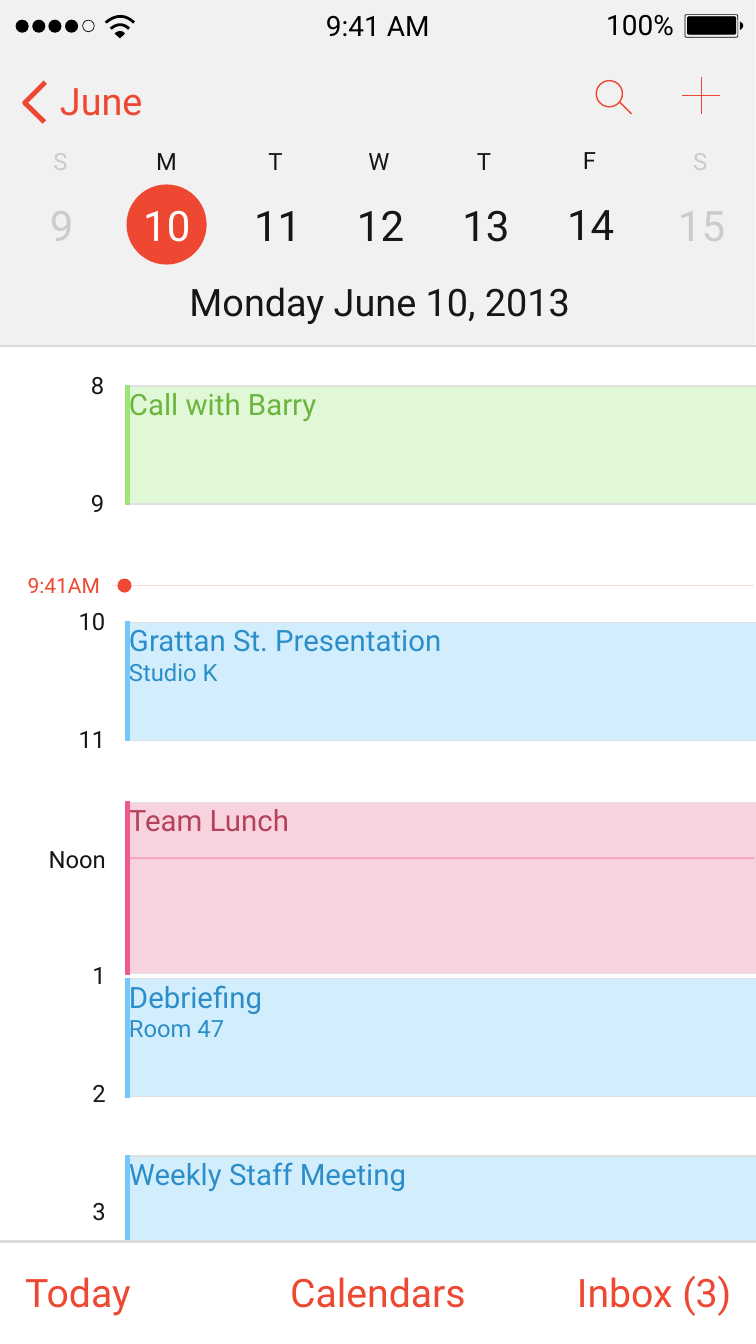
from typing import NamedTuple, Optional

import pptx
import pptx.dml.color
import pptx.enum.shapes
import pptx.enum.text
import pptx.oxml.ns
import pptx.oxml.xmlchemy
import pptx.util

PX = 9144  # 100 px to the inch
FONT = "Roboto"
RED, INK, BLACK, WHITE = "EF4832", "161616", "000000", "FFFFFF"
PALE, RULE = "CBCBCB", "DADADA"
SHAPE = pptx.enum.shapes.MSO_SHAPE
ALIGN = pptx.enum.text.PP_ALIGN
ANCHOR = pptx.enum.text.MSO_ANCHOR


class Day(NamedTuple):
    letter: str
    letter_x: int
    letter_w: int
    number: str
    number_x: int
    color: str = INK
    number_color: str = INK
    lift: int = 0


class Hour(NamedTuple):
    text: str
    x: int
    y: int
    w: int


class Palette(NamedTuple):
    fill: str
    bar: str
    text: str


class Event(NamedTuple):
    title: str
    place: str
    y: int
    h: int
    palette: Palette


GREEN = Palette("E0F8D5", "9DE57A", "6BB53F")
BLUE = Palette("D2EEFD", "78C7FA", "2C8EC9")
PINK = Palette("F8D3DF", "ED5C85", "B44259")

DAYS = [
    Day("S", 96, 48, "9", 91, PALE, PALE),
    Day("M", 301, 59, "10", 276, number_color=WHITE),
    Day("T", 524, 45, "11", 496),
    Day("W", 721, 62, "12", 700),
    Day("T", 938, 45, "13", 909),
    Day("F", 1147, 45, "14", 1117, lift=2),
    Day("S", 1365, 48, "15", 1337, PALE, PALE),
]
HOURS = [
    Hour("8", 170, 729, 44), Hour("9", 170, 963, 44),
    Hour("10", 145, 1197, 71), Hour("11", 145, 1431, 71),
    Hour("Noon", 81, 1670, 136), Hour("1", 173, 1900, 44),
    Hour("2", 173, 2134, 44), Hour("3", 173, 2368, 44),
]
EVENTS = [
    Event("Call with Barry", "", 766, 234, GREEN),
    Event("Grattan St. Presentation", "Studio K", 1235, 234, BLUE),
    Event("Team Lunch", "", 1592, 340, PINK),
    Event("Debriefing", "Room 47", 1942, 234, BLUE),
    Event("Weekly Staff Meeting", "", 2294, 234, BLUE),
]


def rgb(color: str):
    return pptx.dml.color.RGBColor.from_string(color)


def set_alpha(s, percent: int) -> None:
    for clr in s._element.spPr.xpath(".//a:srgbClr"):
        alpha = pptx.oxml.xmlchemy.OxmlElement("a:alpha")
        alpha.set("val", str(percent * 1000))
        clr.append(alpha)


def paint(s, fill: Optional[str], line: Optional[str], weight: int):
    s.shadow.inherit = False
    if fill:
        s.fill.solid()
        s.fill.fore_color.rgb = rgb(fill)
    else:
        s.fill.background()
    if line:
        s.line.color.rgb = rgb(line)
        s.line.width = pptx.util.Pt(weight)
    else:
        s.line.fill.background()
    return s


def shape(sp, kind, x: int, y: int, w: int, h: int, fill: Optional[str] = None,
          line: Optional[str] = None, weight: int = 1):
    return paint(sp.add_shape(kind, x * PX, y * PX, w * PX, h * PX), fill, line, weight)


def outline(sp, points, closed: bool = False, fill: Optional[str] = None,
            line: Optional[str] = None, weight: int = 1):
    (x, y), *rest = [(round(px * PX), round(py * PX)) for px, py in points]
    builder = sp.build_freeform(x, y)
    builder.add_line_segments(rest, close=closed)
    return paint(builder.convert_to_shape(), fill, line, weight)


def curve(start, pull, end, steps: int = 24):
    """Points on a cubic whose first control point is its start."""
    def at(t: float, i: int) -> float:
        u = 1 - t
        return ((u ** 3 + 3 * u * u * t) * start[i]
                + 3 * u * t * t * pull[i] + t ** 3 * end[i])
    return [(at(k / steps, 0), at(k / steps, 1)) for k in range(steps + 1)]


def rule(sp, x1: int, y1: int, x2: int, y2: int, color: str, weight: int = 2):
    s = sp.add_connector(pptx.enum.shapes.MSO_CONNECTOR.STRAIGHT,
                         x1 * PX, y1 * PX, x2 * PX, y2 * PX)
    s.line.color.rgb = rgb(color)
    s.line.width = pptx.util.Pt(weight)
    s._element.spPr.append(pptx.oxml.xmlchemy.OxmlElement("a:effectLst"))
    return s


def write(p, text: str, *, size: int, color: str, align=ALIGN.CENTER) -> None:
    p.alignment = align
    r = p.add_run()
    r.text = text
    r.font.name, r.font.size = FONT, pptx.util.Pt(size)
    r.font.color.rgb = rgb(color)


def set_insets(tf, inset: int) -> None:
    tf.margin_left = tf.margin_right = tf.margin_top = tf.margin_bottom = inset * PX


def label(sp, text: str, x: int, y: int, w: int, h: int, **fmt) -> None:
    tf = sp.add_textbox(x * PX, y * PX, w * PX, h * PX).text_frame
    set_insets(tf, 7)
    tf.word_wrap = False
    tf.auto_size = pptx.enum.text.MSO_AUTO_SIZE.SHAPE_TO_FIT_TEXT
    tf.vertical_anchor = ANCHOR.MIDDLE
    write(tf.paragraphs[0], text, **fmt)


def draw_status_bar(sp) -> None:
    # Signal dots
    for i in range(4):
        shape(sp, SHAPE.OVAL, 31 + round(32.6 * i), 39, 26, 26, BLACK)
    shape(sp, SHAPE.OVAL, 164, 40, 23, 23, line=BLACK)
    # Wireless arcs
    for half, y, rise in ((28, 45, 28), (18, 57, 18), (8, 68, 8)):
        outline(sp, curve((238 - half, y), (238, y - rise), (238 + half, y)),
                line=BLACK, weight=4)
    outline(sp, [(247, 68), (238, 76), (228, 67)], closed=True, fill=BLACK)
    label(sp, "9:41 AM", 638, 10, 223, 79, size=40, color=BLACK)
    # Battery
    label(sp, "100%", 1191, 9, 158, 80, size=40, color=BLACK)
    shape(sp, SHAPE.ROUNDED_RECTANGLE, 1359, 29, 105, 45, line=BLACK).adjustments[0] = 0.07
    shape(sp, SHAPE.ROUNDED_RECTANGLE, 1364, 33, 96, 35, BLACK, BLACK).adjustments[0] = 0.09
    outline(sp, curve((1468, 60), (1483, 50), (1468, 43)), closed=True, fill=BLACK)


def draw_navigation(sp) -> None:
    label(sp, "June", 112, 148, 184, 103, size=54, color=RED, align=ALIGN.LEFT)
    outline(sp, [(90, 163), (49, 204), (88, 242)], line=RED, weight=7)
    # Search and add icons
    shape(sp, SHAPE.OVAL, 1183, 160, 52, 52, line=RED, weight=2)
    rule(sp, 1230, 203, 1253, 226, RED)
    rule(sp, 1392, 153, 1392, 226, RED)
    rule(sp, 1354, 189, 1428, 189, RED)


def draw_day(sp, day: Day) -> None:
    label(sp, day.letter, day.letter_x, 284 - day.lift, day.letter_w, 71,
          size=34, color=day.color)
    label(sp, day.number, day.number_x, 389 - day.lift, 63 if len(day.number) == 1 else 110,
          113, size=60, color=day.number_color)


def draw_event(sp, event: Event) -> None:
    s = shape(sp, SHAPE.RECTANGLE, 256, event.y, 1246, event.h, event.palette.fill, "E0E0E0", 2)
    tf = s.text_frame
    set_insets(tf, 0)
    tf.word_wrap = True
    tf.vertical_anchor = ANCHOR.TOP
    fmt = dict(color=event.palette.text, align=ALIGN.LEFT)
    write(tf.paragraphs[0], event.title, size=42, **fmt)
    if event.place:
        write(tf.add_paragraph(), event.place, size=34, **fmt)
    rule(sp, 253, event.y - 2, 253, event.y + event.h + 2, event.palette.bar, 7)


def main() -> None:
    prs = pptx.Presentation()
    prs.slide_width, prs.slide_height = 1500 * PX, 2667 * PX
    sp = prs.slides.add_slide(prs.slide_layouts[6]).shapes

    # Header
    set_alpha(shape(sp, SHAPE.RECTANGLE, 0, 0, 1499, 689, "E5E5E5"), 50)
    draw_status_bar(sp)
    draw_navigation(sp)
    rule(sp, 1, 687, 1500, 687, RULE)
    shape(sp, SHAPE.OVAL, 251, 366, 159, 159, RED)
    for day in DAYS:
        draw_day(sp, day)
    label(sp, "Monday June 10, 2013", 349, 546, 809, 103, size=54, color=INK)

    # Schedule
    for hour in HOURS:
        label(sp, hour.text, hour.x, hour.y, hour.w, 71, size=34, color=INK, align=ALIGN.RIGHT)
    for event in EVENTS:
        draw_event(sp, event)
    set_alpha(rule(sp, 254, 1703, 1497, 1703, "EF6A8F"), 50)

    # Current time
    rule(sp, 223, 1162, 1497, 1162, "FBDDD8")
    shape(sp, SHAPE.OVAL, 233, 1148, 28, 28, RED)
    label(sp, "9:41AM", 37, 1128, 179, 68, size=30, color=RED)

    # Footer
    shape(sp, SHAPE.RECTANGLE, 5, 2467, 1499, 199, WHITE)
    for text, x, w in (("Today", 37, 235), ("Calendars", 556, 388), ("Inbox (3)", 1132, 332)):
        label(sp, text, x, 2509, w, 108, size=56, color=RED)
    rule(sp, 1, 2463, 1500, 2463, RULE, 4)

    prs.save("out.pptx")


if __name__ == "__main__":
    main()
